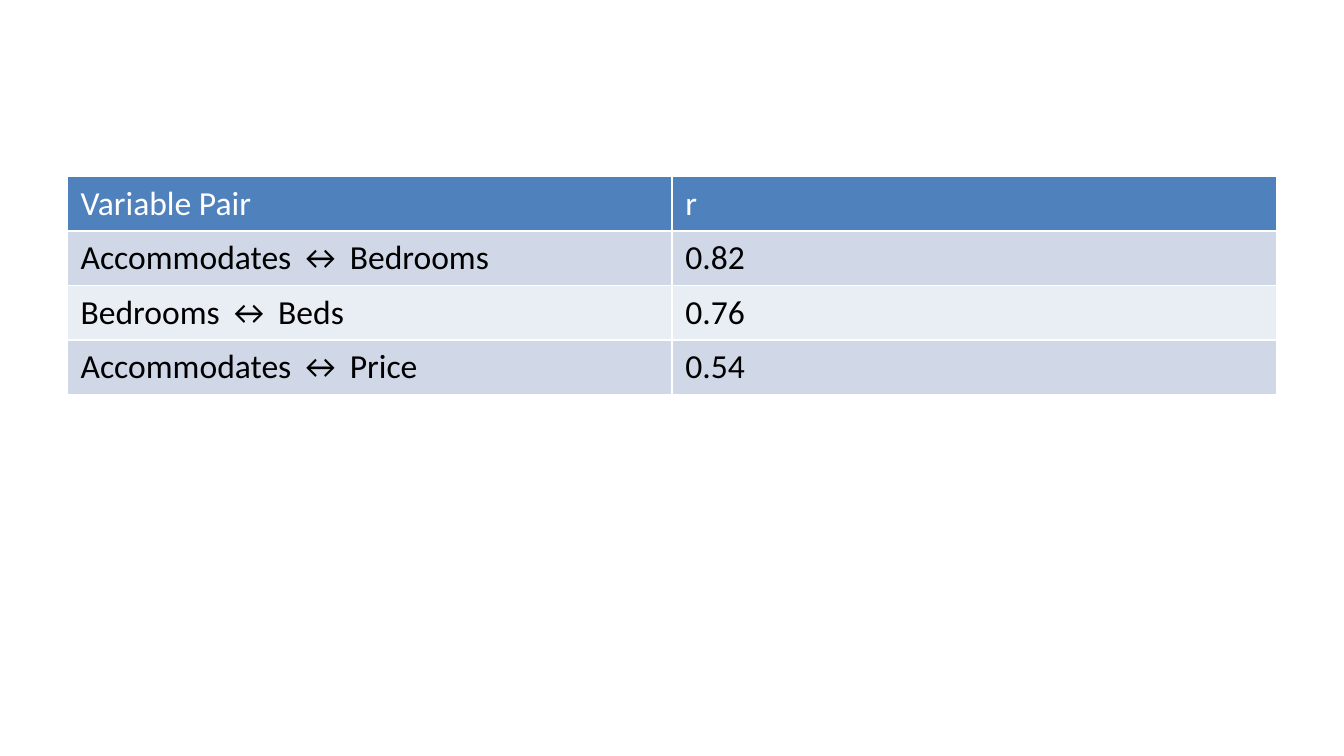
from pptx import Presentation
from pptx import util as u
from pptx.dml.color import RGBColor

prs = Presentation()
W = u.Inches(10)
H = W * 9 // 16
prs.slide_width, prs.slide_height = W, H
s = prs.slides.add_slide(prs.slide_layouts[6])


def paint(fill, color):
    fill.solid()
    fill.fore_color.rgb = RGBColor.from_string(color)


correlations = [
    ("Variable Pair", "r"),
    ("Accommodates ↔ Bedrooms", "0.82"),
    ("Bedrooms ↔ Beds", "0.76"),
    ("Accommodates ↔ Price", "0.54"),
]
font_format = {"name": "Calibri", "size": u.Pt(18), "bold": False}
HEADER, BANDS = "4F81BD", ("E9EDF4", "D0D8E8")

# The default table style supplies the white rules between cells.
margin, row_height = W // 20, u.Inches(0.4)
table = s.shapes.add_table(
    len(correlations), 2, margin, H * 7 // 30,
    W - 2 * margin, row_height * len(correlations),
).table

for i, values in enumerate(correlations):
    for cell, value in zip(table.rows[i].cells, values):
        paint(cell.fill, BANDS[i % 2] if i else HEADER)
        p = cell.text_frame.paragraphs[0]
        r = p.add_run()
        r.text = value
        for name, setting in font_format.items():
            setattr(r.font, name, setting)
        paint(r.font.fill, "000000" if i else "FFFFFF")

prs.save("out.pptx")
